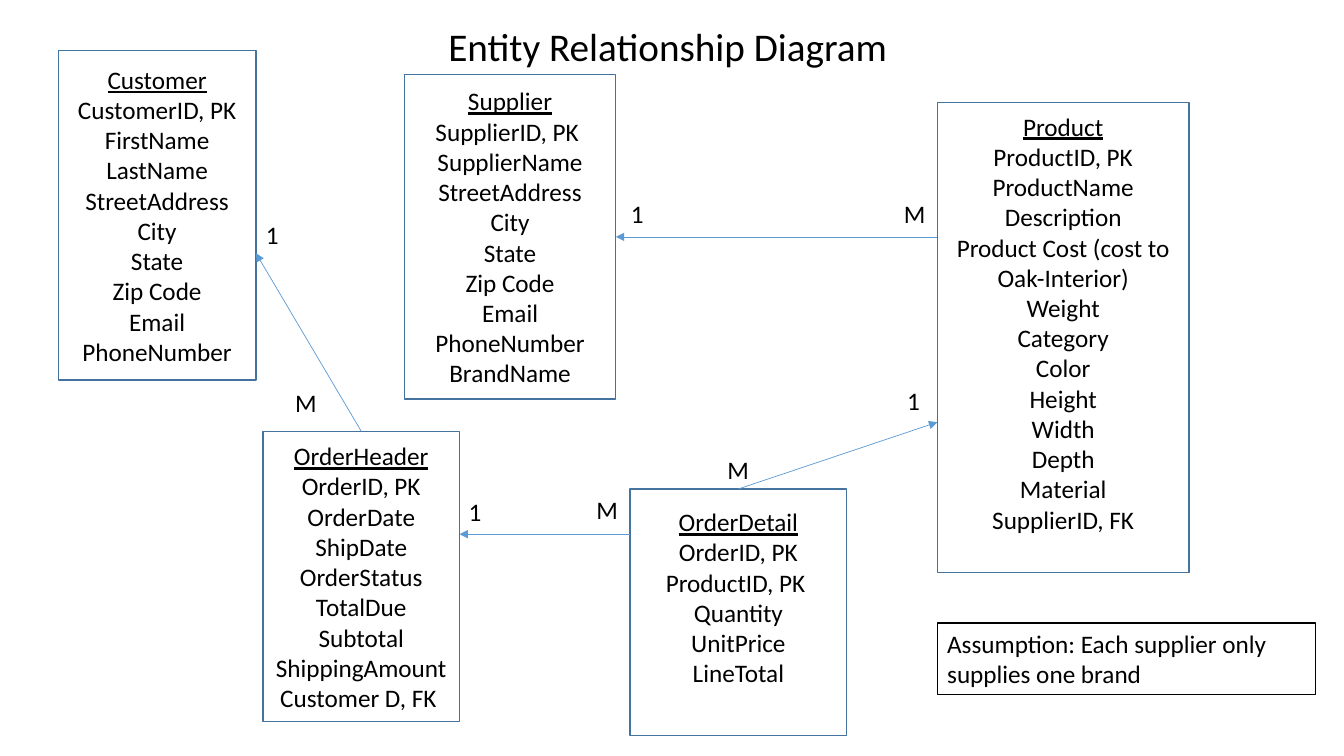
from lxml.etree import SubElement
from pptx import Presentation
from pptx.dml.color import RGBColor
from pptx.enum.shapes import MSO_CONNECTOR, MSO_SHAPE
from pptx.enum.text import MSO_ANCHOR, MSO_AUTO_SIZE, PP_ALIGN
from pptx.oxml.ns import qn
from pptx.util import Cm, Pt

BLACK = RGBColor(0, 0, 0)
WHITE = RGBColor(255, 255, 255)
BORDER = RGBColor(0x43, 0x73, 0x9E)
ARROW = RGBColor(0x5B, 0x9B, 0xD5)


def write(sp, text, align, size=18):
    tf = sp.text_frame
    tf.word_wrap = True
    tf.text = text
    for p in tf.paragraphs:
        p.alignment = align
        for r in p.runs:
            r.font.name = "Calibri"
            r.font.size = Pt(size)
            r.font.color.rgb = BLACK
    return tf


def add_box(place, line, text, align):
    sp = s.shapes.add_shape(MSO_SHAPE.RECTANGLE, *map(Cm, place))
    sp.shadow.inherit = False
    sp.fill.solid()
    sp.fill.fore_color.rgb = WHITE
    sp.line.color.rgb = line
    sp.line.width = Pt(1)
    write(sp, text, align).vertical_anchor = MSO_ANCHOR.MIDDLE
    return sp


prs = Presentation()
prs.slide_width = Cm(33.87)
prs.slide_height = Cm(19.05)
s = prs.slides.add_slide(prs.slide_layouts[5])

title = s.shapes.title
title.left, title.top, title.width, title.height = map(Cm, (7.95, 0.43, 17.75, 1.45))
tf = write(title, "Entity Relationship Diagram", PP_ALIGN.CENTER, 28)
tf.vertical_anchor = MSO_ANCHOR.TOP
tf.auto_size = MSO_AUTO_SIZE.NONE

entities = [
    ("Customer", (1.47, 1.27, 4.98, 8.31), 0.13,
     ["CustomerID, PK", "FirstName", "LastName", "StreetAddress", "City", "State",
      "Zip Code", "Email", "PhoneNumber"]),
    ("Supplier", (10.19, 1.88, 5.33, 8.18), 0.13,
     ["SupplierID, PK ", "SupplierName", "StreetAddress", "City", "State",
      "Zip Code", "Email", "PhoneNumber", "BrandName"]),
    ("Product", (23.62, 2.59, 6.35, 11.84), 0.89,
     ["ProductID, PK", "ProductName", "Description",
      "Product Cost (cost to Oak-Interior)", "Weight", "Category", "Color",
      "Height", "Width", "Depth", "Material", "SupplierID, FK"]),
    ("OrderHeader", (6.63, 10.87, 4.95, 7.32), 0.13,
     ["OrderID, PK", "OrderDate", "ShipDate", "OrderStatus", "TotalDue",
      "Subtotal", "ShippingAmount", "Customer D, FK "]),
    ("OrderDetail", (15.88, 12.32, 5.46, 6.22), 0.89,
     ["OrderID, PK", "ProductID, PK ", "Quantity", "UnitPrice", "LineTotal"]),
]
boxes = {}
for name, place, bottom, fields in entities:
    sp = add_box(place, BORDER, "\n".join([name] + fields), PP_ALIGN.CENTER)
    sp.text_frame.margin_bottom = Cm(bottom)
    sp.text_frame.paragraphs[0].runs[0].font.underline = True
    boxes[name] = sp

relations = [
    ((9.11, 10.87, 6.45, 6.38), ("OrderHeader", 0), None),
    ((23.62, 5.97, 15.52, 5.97), None, ("Supplier", 3)),
    ((18.61, 12.32, 23.62, 10.64), ("OrderDetail", 0), None),
    ((15.88, 13.46, 11.58, 13.46), None, None),
]
for ends, begin, end in relations:
    cx = s.shapes.add_connector(MSO_CONNECTOR.STRAIGHT, *map(Cm, ends))
    if begin:
        cx.begin_connect(boxes[begin[0]], begin[1])
    if end:
        cx.end_connect(boxes[end[0]], end[1])
    cx.line.color.rgb = ARROW
    cx.line.width = Pt(0.5)
    SubElement(cx.line._get_or_add_ln(), qn("a:tailEnd"), type="triangle")
    SubElement(cx._element.spPr, qn("a:effectLst"))

add_box((23.62, 15.7, 9.53, 1.8), BLACK,
        "Assumption: Each supplier only supplies one brand", PP_ALIGN.LEFT)

labels = [
    ("M", 7.19, 9.63), ("1", 6.45, 5.41),
    ("M", 22.53, 4.88), ("1", 15.65, 4.88),
    ("M", 18.08, 11.33), ("1", 22.61, 9.58),
    ("M", 14.78, 12.34), ("1", 11.56, 12.37),
]
for text, left, top in labels:
    tb = s.shapes.add_textbox(Cm(left), Cm(top), Cm(0.99), Cm(1.02))
    write(tb, text, PP_ALIGN.LEFT)

prs.save("out.pptx")
